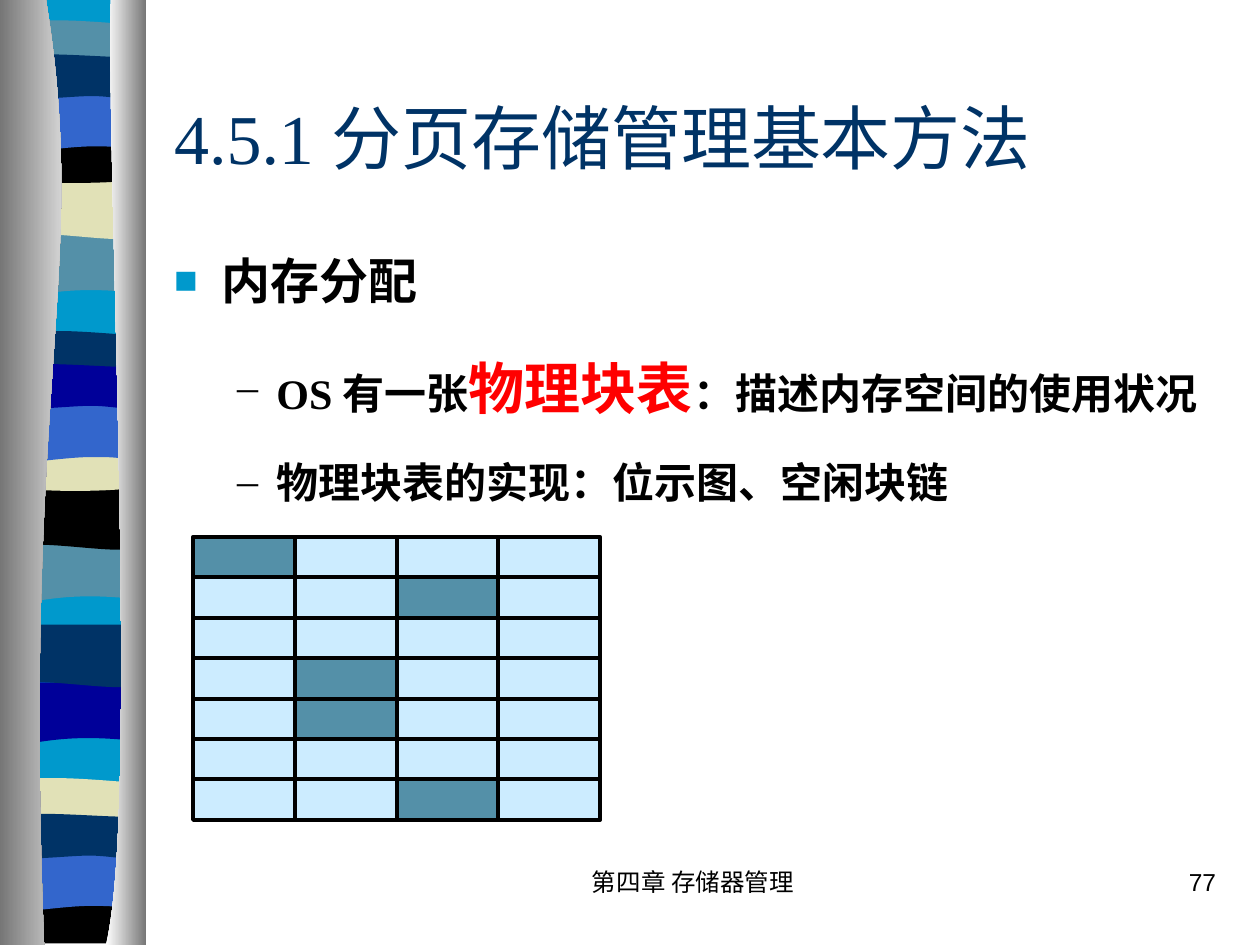
from lxml import etree
from pptx import Presentation
from pptx.dml.color import RGBColor
from pptx.enum.shapes import MSO_SHAPE
from pptx.enum.text import MSO_ANCHOR, PP_ALIGN
from pptx.oxml.ns import qn
from pptx.util import Pt

RECTANGLE = MSO_SHAPE.RECTANGLE
MIDDLE = MSO_ANCHOR.MIDDLE
LEFT, CENTER, RIGHT = PP_ALIGN.LEFT, PP_ALIGN.CENTER, PP_ALIGN.RIGHT

COLORS = {
    "black": "000000", "navy": "003366", "red": "FF0000", "cyan": "0099CC",
    "teal": "5490A8", "sand": "E1E1B7", "blue": "3366CC", "indigo": "000099",
    "pale": "CCECFF", "white": "FFFFFF", "gray": "767676",
}
BAND_WIDTH = 76.5

BAND_OUTLINES = {
    "wave": [(76.5, 0), (76.5, 33.8), (23.8, 27.4, 13, 38.9, 0, 33.8), (0, 0)],
    "sag": [(76.5, 0), (76.5, 33.8), (63.5, 39.6, 23.5, 29.5, 0, 33.8), (0, 0)],
    "cap": [(76.5, 3.6), (76.5, 21.6), (64, 24.5, 13, 24.5, 0, 21.6), (0, 3.6),
            (5, 0, 17, 0.7, 29.5, 0.7), (42.5, 0.7, 67, 2.9, 76.5, 3.6)],
    "dip": [(76.5, 0), (76.5, 23.8), (63.5, 27.4, 12.5, 27.4, 0, 23.8), (0, 0),
            (47.5, 3.6, 60.5, 0, 76.5, 0)],
    "base": [(76.5, 0), (76.5, 26.6), (0, 26.6), (0, 0),
             (47.5, 3.6, 60.5, 0, 76.5, 0)],
    "arch": [(76.5, 0), (76.5, 33.8), (64, 30.2, 60, 30.2, 47, 30.2),
             (34, 30.2, 11.5, 33.8, 0, 33.8), (0, 0)],
    "ripple": [(76.5, 3.6), (76.5, 25.9), (71.5, 29.5, 60, 25.9, 47, 25.9),
               (34, 25.9, 8, 29.5, 0, 25.9), (0, 3.6),
               (10.8, 0, 52, 3.6, 64.5, 3.6)],
}
BAND_GROUPS = [
    (5.5, [("wave", 134, "teal"), ("sag", 101, "sand"), ("cap", 11, "teal"),
           ("dip", 78, "black"), ("arch", 53.5, "blue"), ("ripple", 29, "navy")]),
    (5, [("wave", 309, "teal"), ("sag", 278.5, "black"), ("cap", 188.5, "navy"),
         ("dip", 254, "sand"), ("arch", 231, "blue"), ("ripple", 206, "indigo")]),
    (4, [("wave", 390, "indigo"), ("sag", 357, "navy"), ("cap", 444, "sand"),
         ("base", 512.5, "black"), ("arch", 487.5, "blue"), ("ripple", 463, "navy")]),
]
COLUMNS = [
    ([(26.3, 0), (51.5, 155.5, 12.5, 213, 25.2, 540), (0, 540), (0, 0)], "gray", "white"),
    ([(63.4, 0), (60.5, 90, 80, 465, 60.5, 540), (83.7, 540), (83.7, 0)], "white", "gray"),
]

ROWS, COLS = 7, 4
CELL_WIDTH, CELL_HEIGHT = 58.15, 23.1
USED_BLOCKS = {(0, 0), (1, 2), (3, 1), (4, 1), (6, 2)}

TITLE_FORMAT = {"name": "Times New Roman", "size": Pt(40), "bold": False}
BODY_FORMAT = {"name": "Times New Roman", "bold": True}
FOOTER_FORMAT = {"name": "Arial", "size": Pt(14)}
HEADING_BULLET = {"char": "■", "color": "cyan", "percent": 80, "margin": 27, "hang": 27}
ITEM_BULLET = {"char": "–", "color": "black", "percent": 100, "margin": 58.5, "hang": 22.5}
BODY = [
    (0, 0, HEADING_BULLET, [("内存分配", 28, "black")]),
    (1, 6, ITEM_BULLET, [("OS 有一张", 24, "black"), ("物理块表", 32, "red"),
                         ("：描述内存空间的使用状况", 24, "black")]),
    (1, 6, ITEM_BULLET, [("物理块表的实现：位示图、空闲块链", 24, "black")]),
]


def color(name):
    """Return the named colour."""
    return RGBColor.from_string(COLORS[name])


def format_font(font, values, color_name):
    """Set font attributes and colour."""
    for name, value in values.items():
        setattr(font, name, value)
    font.color.rgb = color(color_name)


def bend_curves(shape, outline):
    """Merge each three lines that stand for a cubic curve."""
    lines = iter(list(shape._element.iter(qn("a:lnTo"))))
    for segment in outline[1:]:
        line = next(lines)
        if len(segment) == 6:
            curve = etree.Element(qn("a:cubicBezTo"))
            line.addprevious(curve)
            for part in (line, next(lines), next(lines)):
                curve.append(part[0])
                part.getparent().remove(part)


def add_outline(slide, outline, left=0, top=0):
    """Add a closed freeform of lines and curves without line or shadow."""
    points = [(Pt(left + segment[i]), Pt(top + segment[i + 1]))
              for segment in outline for i in range(0, len(segment), 2)]
    builder = slide.shapes.build_freeform(*points[0])
    builder.add_line_segments(points[1:], close=True)
    shape = builder.convert_to_shape()
    bend_curves(shape, outline)
    shape.shadow.inherit = False
    shape.line.fill.background()
    return shape


def add_band(slide, outline, left, top, color_name):
    """Add one plain coloured band."""
    shape = add_outline(slide, outline, left, top)
    shape.fill.solid()
    shape.fill.fore_color.rgb = color(color_name)


def add_column(slide, outline, start, end):
    """Add a column shaded from left to right."""
    shape = add_outline(slide, outline)
    shape.fill.gradient()
    shape.fill.gradient_angle = 0
    for stop, color_name in zip(shape.fill.gradient_stops, (start, end)):
        stop.color.rgb = color(color_name)


def add_ribbon(slide):
    """Draw the striped ribbon between two columns."""
    strip = [(0, 0), (BAND_WIDTH, 0), (BAND_WIDTH, 538), (0, 538)]
    add_band(slide, strip, 5.5, 0, "cyan")
    for left, bands in BAND_GROUPS:
        for kind, top, color_name in bands:
            add_band(slide, BAND_OUTLINES[kind], left, top, color_name)
    for outline, start, end in COLUMNS:
        add_column(slide, outline, start, end)


def add_bullet(paragraph, bullet):
    """Give a paragraph its bullet and hanging indent."""
    properties = paragraph._p.get_or_add_pPr()
    properties.set("marL", str(Pt(bullet["margin"])))
    properties.set("indent", str(-Pt(bullet["hang"])))
    bullet_color = etree.SubElement(properties, qn("a:buClr"))
    etree.SubElement(bullet_color, qn("a:srgbClr"), val=COLORS[bullet["color"]])
    etree.SubElement(properties, qn("a:buSzPct"), val=str(bullet["percent"] * 1000))
    etree.SubElement(properties, qn("a:buFont"), typeface="Times New Roman")
    etree.SubElement(properties, qn("a:buChar"), char=bullet["char"])


def add_title(slide, text):
    """Place and format the title."""
    title = slide.shapes.title
    title.left, title.top, title.width, title.height = Pt(92.3), Pt(36), Pt(612), Pt(84)
    title.text_frame.vertical_anchor = MIDDLE
    paragraph = title.text_frame.paragraphs[0]
    paragraph.text = text
    paragraph.alignment = LEFT
    format_font(paragraph.runs[0].font, TITLE_FORMAT, "navy")


def add_text_box(slide, left, top, width, height):
    """Add a wrapping text box and return its frame."""
    frame = slide.shapes.add_textbox(Pt(left), Pt(top), Pt(width), Pt(height)).text_frame
    frame.word_wrap = True
    return frame


def add_body(slide):
    """Add the bulleted text."""
    frame = add_text_box(slide, 92.4, 123, 612, 357)
    for index, (level, space, bullet, runs) in enumerate(BODY):
        paragraph = frame.add_paragraph() if index else frame.paragraphs[0]
        paragraph.level = level
        paragraph.line_spacing = 1.5
        paragraph.space_before = Pt(space)
        add_bullet(paragraph, bullet)
        for text, size, color_name in runs:
            run = paragraph.add_run()
            run.text = text
            format_font(run.font, {**BODY_FORMAT, "size": Pt(size)}, color_name)


def add_footer(slide, text, left, width, alignment):
    """Add one footer text."""
    paragraph = add_text_box(slide, left, 492, width, 36).paragraphs[0]
    paragraph.text = text
    paragraph.alignment = alignment
    format_font(paragraph.runs[0].font, FOOTER_FORMAT, "black")


def add_block_map(slide, left, top):
    """Add the grid of memory blocks with used ones darker."""
    group = slide.shapes.add_group_shape()
    for row in range(ROWS):
        for column in range(COLS):
            cell = group.shapes.add_shape(
                RECTANGLE, Pt(left + column * CELL_WIDTH), Pt(top + row * CELL_HEIGHT),
                Pt(CELL_WIDTH), Pt(CELL_HEIGHT))
            cell.shadow.inherit = False
            cell.fill.solid()
            cell.fill.fore_color.rgb = color("teal" if (row, column) in USED_BLOCKS else "pale")
            cell.line.color.rgb = color("black")
            cell.line.width = Pt(2.25)


def main():
    """Build and save the slide."""
    presentation = Presentation()
    presentation.slide_width, presentation.slide_height = Pt(720), Pt(540)
    slide = presentation.slides.add_slide(presentation.slide_layouts[5])
    add_ribbon(slide)
    add_footer(slide, "第四章 存储器管理", 282, 228, CENTER)
    add_footer(slide, "77", 552, 150, RIGHT)
    add_body(slide)
    add_title(slide, "4.5.1 分页存储管理基本方法")
    add_block_map(slide, 110.3, 306.8)
    presentation.save("out.pptx")


if __name__ == "__main__":
    main()
